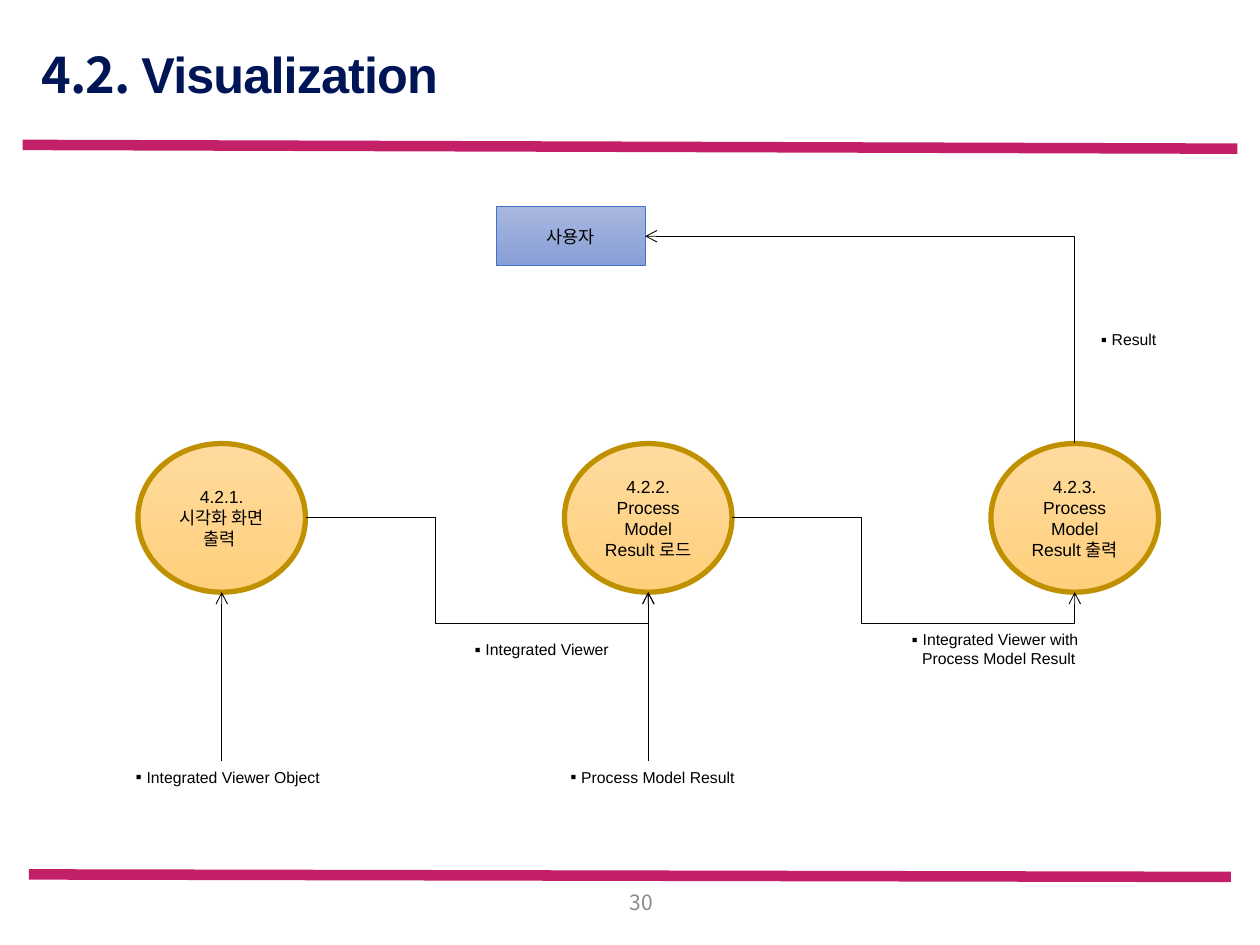
import pptx
import pptx.dml.color
import pptx.enum.shapes
import pptx.enum.text
import pptx.oxml
import pptx.oxml.ns
import pptx.util

SHAPE = pptx.enum.shapes.MSO_SHAPE
CONNECTOR = pptx.enum.shapes.MSO_CONNECTOR
ALIGN = pptx.enum.text.PP_ALIGN
ANCHOR = pptx.enum.text.MSO_ANCHOR


def color(hex_string):
    return pptx.dml.color.RGBColor.from_string(hex_string)


def add_element(parent, tag, **attributes):
    element = pptx.oxml.parse_xml(f"<{tag} {pptx.oxml.ns.nsdecls('a')}/>")
    for name, value in attributes.items():
        element.set(name, str(value))
    parent.append(element)
    return element


class Diagram:
    """Draws on a grid of 100 columns by 75 rows that fills the slide."""

    LATIN, KOREAN = "Arial", "Noto Sans CJK KR"
    BLACK, NAVY, GRAY, MAGENTA = "000000", "001555", "8C8C8C", "C42067"
    BLUE = ("A8B7DF", "889ED7", "4472C4")
    ORANGE = ("FFDB9E", "FFD07C", "BF9000")

    def __init__(self, presentation):
        self.slide = presentation.slides.add_slide(presentation.slide_layouts[6])
        self.column = presentation.slide_width / 100
        self.row = presentation.slide_height / 75

    def place(self, *lengths):
        """Turn alternating columns and rows into slide lengths."""
        units = (self.column, self.row)
        return [round(length * units[i % 2]) for i, length in enumerate(lengths)]

    def run(self, paragraph, text, size, font=LATIN, ink=BLACK, bold=False):
        run = paragraph.add_run()
        run.text = text
        run.font.size = pptx.util.Pt(size)
        run.font.name = font
        run.font.bold = bold
        run.font.color.rgb = color(ink)
        add_element(run.font._element, "a:ea", typeface=self.KOREAN)
        return run

    def text_box(self, box, anchor=ANCHOR.MIDDLE, wrap=True):
        frame = self.slide.shapes.add_textbox(*self.place(*box)).text_frame
        frame.word_wrap = wrap
        frame.vertical_anchor = anchor
        return frame.paragraphs[0]

    def title(self, box, number, words):
        paragraph = self.text_box(box)
        paragraph.line_spacing = 0.9
        for text, font in ((number, self.KOREAN), (words, self.LATIN)):
            run = self.run(paragraph, text, 28.8, font, self.NAVY, bold=True)
            run.font._element.set("spc", "-50")

    def page_number(self, box, text):
        paragraph = self.text_box(box)
        paragraph.alignment = ALIGN.RIGHT
        self.run(paragraph, text, 12, self.KOREAN, self.GRAY)

    def flow_label(self, box, *lines):
        paragraph = self.text_box(box, ANCHOR.TOP, wrap=False)
        properties = paragraph._p.get_or_add_pPr()
        properties.set("marL", str(pptx.util.Inches(0.19)))
        properties.set("indent", str(pptx.util.Inches(-0.12)))
        add_element(properties, "a:buFont", typeface=self.KOREAN)
        add_element(properties, "a:buChar", char="▪")
        for index, line in enumerate(lines):
            if index:
                paragraph.add_line_break()
            self.run(paragraph, line, 9)

    def node(self, kind, box, text, palette, border):
        top_color, bottom_color, line_color = palette
        shape = self.slide.shapes.add_shape(kind, *self.place(*box))
        shape.shadow.inherit = False
        shape.fill.gradient()
        shape.fill.gradient_angle = 270
        for stop, shade in zip(shape.fill.gradient_stops, (top_color, bottom_color)):
            stop.color.rgb = color(shade)
        shape.line.color.rgb = color(line_color)
        shape.line.width = pptx.util.Pt(border)
        frame = shape.text_frame
        frame.word_wrap = True
        frame.vertical_anchor = ANCHOR.MIDDLE
        frame.paragraphs[0].alignment = ALIGN.CENTER
        self.run(frame.paragraphs[0], text, 10)

    def line(self, start, end, ink=BLACK, width=0.5, kind=CONNECTOR.STRAIGHT, arrow=None):
        """arrow is "headEnd" for the start, "tailEnd" for the end."""
        connector = self.slide.shapes.add_connector(kind, *self.place(*start, *end))
        connector.line.color.rgb = color(ink)
        connector.line.width = pptx.util.Pt(width)
        if arrow:
            add_element(connector.line._get_or_add_ln(), f"a:{arrow}", type="arrow")
        add_element(connector._element.spPr, "a:effectLst")
        return connector

    def elbow(self, start, end, preset, adjustments=(), arrow="tailEnd"):
        connector = self.line(start, end, kind=CONNECTOR.ELBOW, arrow=arrow)
        geometry = connector._element.spPr.find(pptx.oxml.ns.qn("a:prstGeom"))
        geometry.set("prst", preset)
        guides = geometry.get_or_add_avLst()
        for number, share in enumerate(adjustments, 1):
            add_element(guides, "a:gd", name=f"adj{number}",
                        fmla=f"val {round(share * 100000)}")


def main():
    presentation = pptx.Presentation()
    presentation.slide_width = pptx.util.Inches(10)
    presentation.slide_height = pptx.util.Inches(7.5)
    diagram = Diagram(presentation)

    diagram.line((1.8, 11.5), (98.2, 11.8), diagram.MAGENTA, 6)
    diagram.line((2.3, 69.4), (97.7, 69.6), diagram.MAGENTA, 6)
    diagram.title((2.3, 4, 94.1, 4.3), "4.2. ", "Visualization")
    diagram.page_number((46.9, 70.5, 5.9, 2.2), "30")

    user_left, user_top, user_width, user_height = user = (39.4, 16.4, 11.8, 4.7)
    diagram.node(SHAPE.RECTANGLE, user, "사용자", diagram.BLUE, 0.5)

    width, height, top = 13.3, 11.8, 35.2
    middle, bottom, source = top + height / 2, top + height, 60.4
    centers = [17.6 + 33.85 * step for step in range(3)]
    processes = ("4.2.1. 시각화 화면 출력 ", "4.2.2. Process Model Result 로드",
                 "4.2.3. Process Model Result 출력")
    for center, text in zip(centers, processes):
        diagram.node(SHAPE.OVAL, (center - width / 2, top, width, height),
                     text, diagram.ORANGE, 3)

    for center, following in zip(centers, centers[1:]):
        diagram.elbow((center + width / 2, middle), (following, bottom),
                      "bentConnector4", (0.378, 1.423))
    for center in centers[:2]:
        diagram.line((center, source), (center, bottom), arrow="tailEnd")
    diagram.elbow((user_left + user_width, user_top + user_height / 2),
                  (centers[-1], top), "bentConnector2", arrow="headEnd")

    diagram.flow_label((85.3, 25.7, 7.5, 2.5), "Result")
    diagram.flow_label((8.7, source, 17.8, 2.5), "Integrated Viewer Object")
    diagram.flow_label((43.2, source, 16.6, 2.5), "Process Model Result")
    diagram.flow_label((35.6, 50.3, 13.8, 2.5), "Integrated Viewer")
    diagram.flow_label((70.3, 49.5, 16.7, 4), "Integrated Viewer with ",
                       "Process Model Result")
    presentation.save("out.pptx")


if __name__ == "__main__":
    main()
